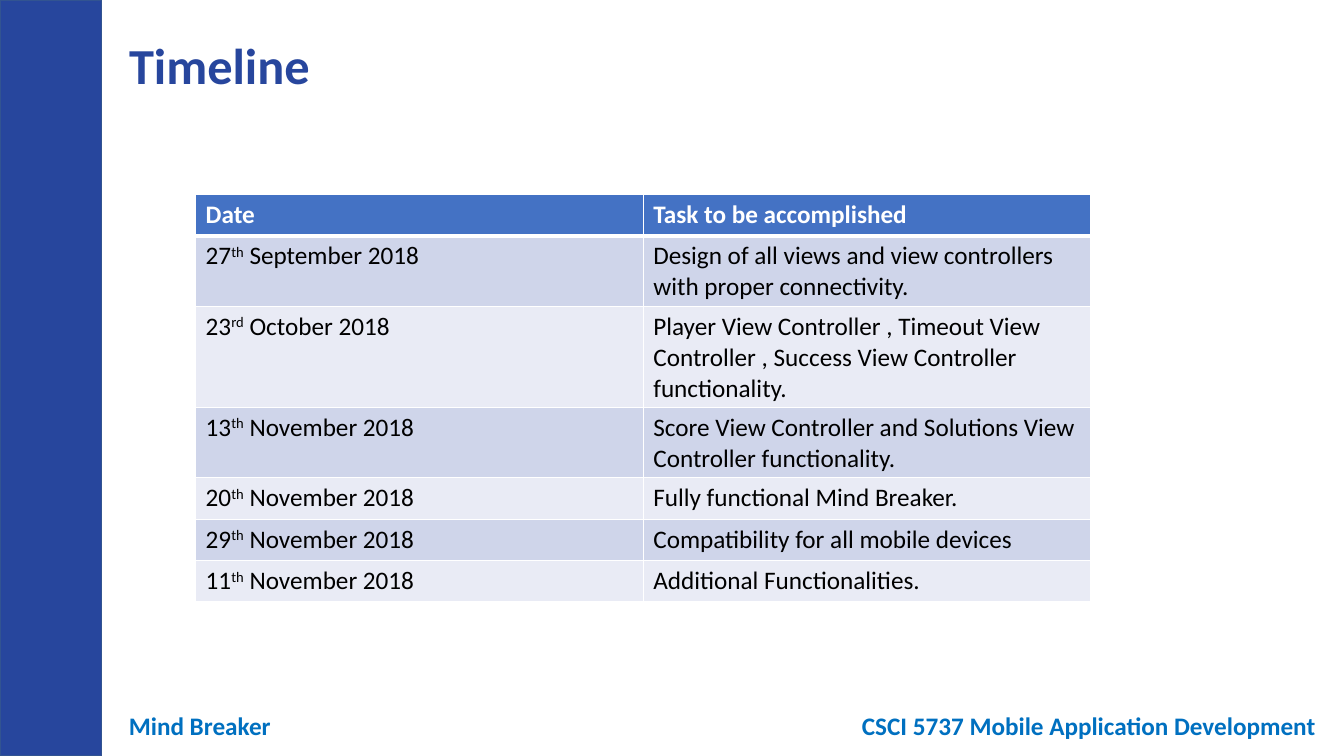
"""Builds the project timeline slide with its dated task table."""
from dataclasses import dataclass

from lxml import etree
from pptx import Presentation
from pptx.dml.color import RGBColor
from pptx.enum.shapes import MSO_SHAPE
from pptx.enum.text import MSO_ANCHOR, MSO_AUTO_SIZE, PP_ALIGN
from pptx.oxml.ns import qn
from pptx.util import Inches, Pt

SLIDE_WIDTH = Inches(13.33)
SLIDE_HEIGHT = Inches(7.5)


@dataclass(frozen=True)
class Theme:
    font: str = "Calibri"
    navy: str = "27469D"
    navy_edge: str = "325491"
    footer: str = "0070C0"
    header: str = "4472C4"
    bands: tuple[str, str] = ("CFD5EA", "E9EBF5")
    white: str = "FFFFFF"
    black: str = "000000"
    title_size: int = 36
    text_size: int = 18
    rule: int = 1
    header_rule: int = 3


@dataclass(frozen=True)
class Box:
    left: float
    top: float
    width: float
    height: float

    def emu(self) -> tuple[int, int, int, int]:
        return (int(self.left * SLIDE_WIDTH), int(self.top * SLIDE_HEIGHT),
                int(self.width * SLIDE_WIDTH), int(self.height * SLIDE_HEIGHT))


@dataclass(frozen=True)
class Footer:
    text: str
    left: float


@dataclass(frozen=True)
class Milestone:
    day: int
    suffix: str
    month: str
    task: str


THEME = Theme()
MARGIN = 1.18 / 13.33
SIDEBAR = Box(0, 0, 1.01 / 13.33, 1)
TITLE = Box(MARGIN, 0.29 / 7.5, 0.6, 0.71 / 7.5)
TABLE = Box(1.94 / 13.33, 1.93 / 7.5, 8.88 / 13.33, 7 * 0.41 / 7.5)
FOOTERS = [Footer("Mind Breaker", MARGIN),
           Footer("CSCI 5737 Mobile Application Development", 8.45 / 13.33)]
HEADINGS = ["Date", "Task to be accomplished"]
MILESTONES = [
    Milestone(27, "th", "September", "Design of all views and view controllers with proper connectivity."),
    Milestone(23, "rd", "October", "Player View Controller , Timeout View Controller , "
              "Success View Controller functionality."),
    Milestone(13, "th", "November", "Score View Controller and Solutions View Controller functionality."),
    Milestone(20, "th", "November", "Fully functional Mind Breaker."),
    Milestone(29, "th", "November", "Compatibility for all mobile devices"),
    Milestone(11, "th", "November", "Additional Functionalities."),
]


def rgb(color: str) -> RGBColor:
    return RGBColor.from_string(color)


def add_run(paragraph, text: str, size: int, color: str, bold: bool, raised: bool = False) -> None:
    run = paragraph.add_run()
    run.text = text
    run.font.name = THEME.font
    run.font.size = Pt(size)
    run.font.bold = bold
    run.font.color.rgb = rgb(color)
    if raised:
        run.font._element.set("baseline", "30000")


def draw_sidebar(slide) -> None:
    bar = slide.shapes.add_shape(MSO_SHAPE.RECTANGLE, *SIDEBAR.emu())
    bar.shadow.inherit = False
    bar.fill.solid()
    bar.fill.fore_color.rgb = rgb(THEME.navy)
    bar.line.color.rgb = rgb(THEME.navy_edge)
    bar.line.width = Pt(1)


def draw_title(slide, text: str) -> None:
    title = slide.shapes.title
    title.left, title.top, title.width, title.height = TITLE.emu()
    frame = title.text_frame
    frame.auto_size = MSO_AUTO_SIZE.NONE
    frame.vertical_anchor = MSO_ANCHOR.TOP
    frame.paragraphs[0].alignment = PP_ALIGN.LEFT
    add_run(frame.paragraphs[0], text, THEME.title_size, THEME.navy, True)


def draw_footer(slide, footer: Footer) -> None:
    box = slide.shapes.add_textbox(*Box(footer.left, 7 / 7.5, 4.84 / 13.33, 0.4 / 7.5).emu())
    box.text_frame.word_wrap = True
    add_run(box.text_frame.paragraphs[0], footer.text, THEME.text_size, THEME.footer, True)


def style_cell(cell, fill: str, top: int, bottom: int) -> None:
    properties = cell._tc.get_or_add_tcPr()
    for side, width in zip("LRTB", (THEME.rule, THEME.rule, top, bottom)):
        line = etree.SubElement(properties, qn(f"a:ln{side}"), w=str(Pt(width)))
        solid = etree.SubElement(line, qn("a:solidFill"))
        etree.SubElement(solid, qn("a:srgbClr"), val=THEME.white)
    cell.fill.solid()
    cell.fill.fore_color.rgb = rgb(fill)


def draw_table(slide) -> None:
    table = slide.shapes.add_table(len(MILESTONES) + 1, len(HEADINGS), *TABLE.emu()).table
    for cell, heading in zip(table.rows[0].cells, HEADINGS):
        style_cell(cell, THEME.header, THEME.rule, THEME.header_rule)
        add_run(cell.text_frame.paragraphs[0], heading, THEME.text_size, THEME.white, True)
    for index, milestone in enumerate(MILESTONES):
        date, task = table.rows[index + 1].cells
        for cell in (date, task):
            style_cell(cell, THEME.bands[index % 2],
                       THEME.rule if index else THEME.header_rule, THEME.rule)
        parts = (str(milestone.day), milestone.suffix, f" {milestone.month} 2018")
        for part in parts:
            add_run(date.text_frame.paragraphs[0], part, THEME.text_size, THEME.black,
                    False, raised=part == milestone.suffix)
        add_run(task.text_frame.paragraphs[0], milestone.task, THEME.text_size, THEME.black, False)


def main() -> None:
    presentation = Presentation()
    presentation.slide_width, presentation.slide_height = SLIDE_WIDTH, SLIDE_HEIGHT
    slide = presentation.slides.add_slide(presentation.slide_layouts.get_by_name("Title Only"))
    draw_sidebar(slide)
    draw_title(slide, "Timeline")
    for footer in FOOTERS:
        draw_footer(slide, footer)
    draw_table(slide)
    presentation.save("out.pptx")


main()
